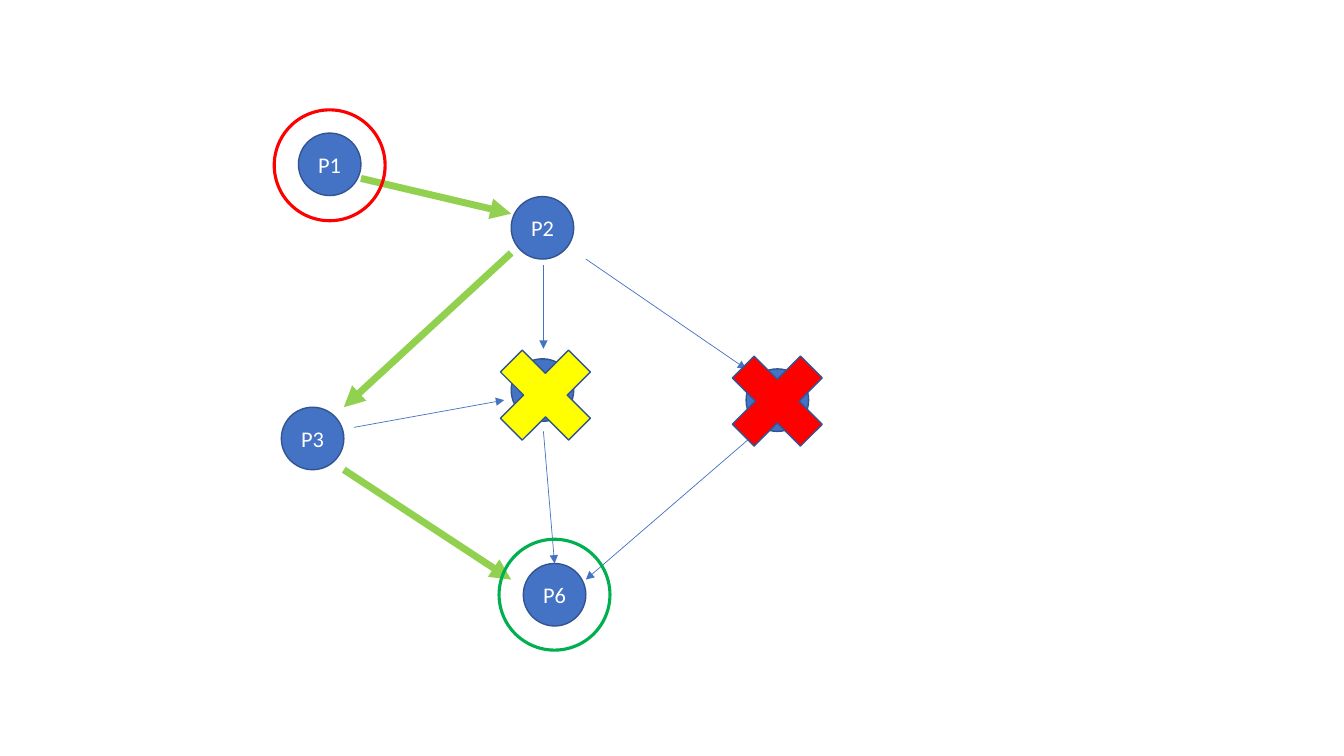
from lxml import etree
from pptx import Presentation
from pptx.dml.color import RGBColor
from pptx.enum.shapes import MSO_CONNECTOR, MSO_SHAPE
from pptx.enum.text import MSO_ANCHOR, PP_ALIGN
from pptx.oxml.ns import qn
from pptx.util import Inches, Pt

STRAIGHT = MSO_CONNECTOR.STRAIGHT
ELLIPSE = MSO_SHAPE.OVAL
CROSS = MSO_SHAPE.MATH_MULTIPLY
MIDDLE = MSO_ANCHOR.MIDDLE
CENTER = PP_ALIGN.CENTER

COLORS = {
    "node": "4472C4",
    "outline": "325491",
    "label": "FFFFFF",
    "route": "92D050",
    "start": "FF0000",
    "goal": "00B050",
    "failed": "FF0000",
    "suspect": "FFFF00",
}
FONT = "Calibri"
NODE_SIZE, RING_SIZE, CROSS_SIZE = 0.62, 1.1, 1.3

NODES = [
    ("P1", 0.57, 0.63),
    ("", 5.01, 2.97),
    ("P3", 0.4, 3.35),
    ("P2", 2.68, 1.26),
    ("", 2.68, 2.87),
    ("P6", 2.8, 4.9),
]
EDGES = [
    ("route", 5, (0.88, 0.77), (2.37, 1.12)),
    ("node", 0.5, (3.11, 1.57), (4.7, 2.66)),
    ("route", 5, (2.37, 1.51), (0.71, 3.04)),
    ("route", 5, (0.71, 3.66), (2.37, 4.75)),
    ("node", 0.5, (2.69, 3.28), (2.8, 4.59)),
    ("node", 0.5, (2.69, 1.63), (2.69, 2.46)),
    ("node", 0.5, (4.78, 3.31), (3.11, 4.75)),
    ("node", 0.5, (0.81, 3.24), (2.3, 2.97)),
]
RINGS = [("start", 0.57, 0.64), ("goal", 2.8, 4.9)]
CROSSES = [("failed", 5.01, 2.98), ("suspect", 2.71, 2.92)]


def rgb(role):
    return RGBColor.from_string(COLORS[role])


def add_mark(slide, kind, center, size, fill, outline, weight):
    x, y = center
    mark = slide.shapes.add_shape(
        kind, Inches(x - size / 2), Inches(y - size / 2), Inches(size), Inches(size))
    mark.shadow.inherit = False
    if fill:
        mark.fill.solid()
        mark.fill.fore_color.rgb = rgb(fill)
    else:
        mark.fill.background()
    mark.line.color.rgb = rgb(outline)
    mark.line.width = Pt(weight)
    return mark


def add_label(node, label):
    frame = node.text_frame
    frame.margin_left = frame.margin_right = 0
    frame.vertical_anchor = MIDDLE
    paragraph = frame.paragraphs[0]
    paragraph.alignment = CENTER
    run = paragraph.add_run()
    run.text = label
    run.font.name = FONT
    run.font.size = Pt(16)
    run.font.color.rgb = rgb("label")


def add_edge(slide, role, weight, start, end):
    edge = slide.shapes.add_connector(STRAIGHT, *map(Inches, start + end))
    edge.line.color.rgb = rgb(role)
    edge.line.width = Pt(weight)
    arrowhead = etree.SubElement(edge.line._get_or_add_ln(), qn("a:tailEnd"))
    arrowhead.set("type", "triangle")
    etree.SubElement(edge._element.spPr, qn("a:effectLst"))


def add_process_graph(slide, left, top):
    def place(x, y):
        return left + x, top + y

    for label, x, y in NODES:
        node = add_mark(slide, ELLIPSE, place(x, y), NODE_SIZE, "node", "outline", 1)
        if label:
            add_label(node, label)
    for role, weight, start, end in EDGES:
        add_edge(slide, role, weight, place(*start), place(*end))
    for role, x, y in RINGS:
        add_mark(slide, ELLIPSE, place(x, y), RING_SIZE, None, role, 2.25)
    for role, x, y in CROSSES:
        add_mark(slide, CROSS, place(x, y), CROSS_SIZE, role, "outline", 1)


presentation = Presentation()
presentation.slide_width = Inches(13.33)
presentation.slide_height = Inches(7.5)
graph_slide = presentation.slides.add_slide(presentation.slide_layouts[6])
add_process_graph(graph_slide, 2.7, 1)
presentation.save("out.pptx")
